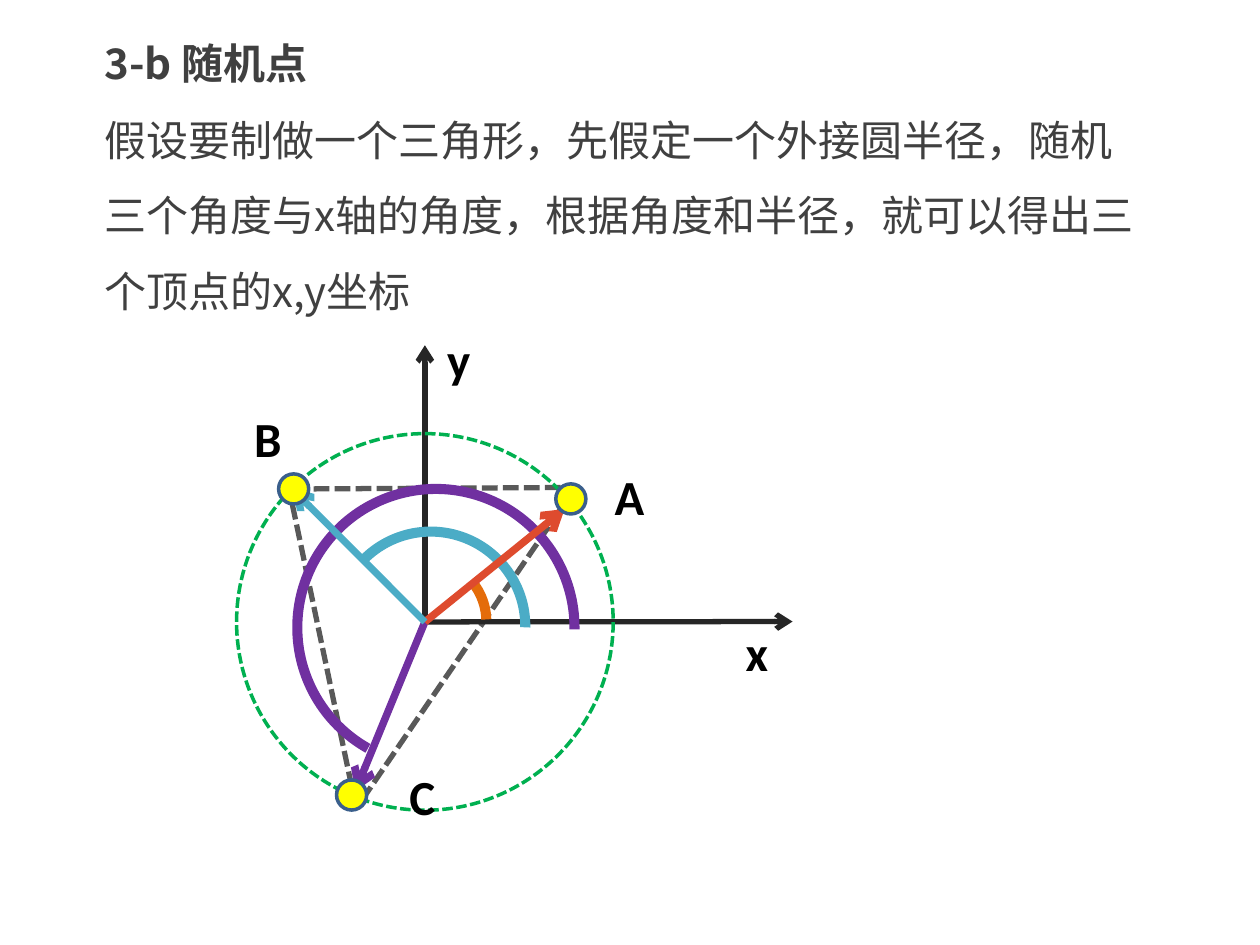
from lxml import etree
from pptx import Presentation
from pptx.dml.color import RGBColor
from pptx.enum import dml, shapes, text
from pptx.oxml.ns import qn
from pptx.util import Pt

INK = RGBColor(0x40, 0x40, 0x40)
BLACK = RGBColor(0, 0, 0)
AXIS = RGBColor(0x26, 0x26, 0x26)
GREY = RGBColor(0x59, 0x59, 0x59)
GREEN = RGBColor(0x00, 0xB0, 0x50)
PURPLE = RGBColor(0x70, 0x30, 0xA0)
ORANGE = RGBColor(0xE4, 0x6C, 0x0A)
CYAN = RGBColor(0x4B, 0xAC, 0xC6)
RED = RGBColor(0xDE, 0x4B, 0x2E)
YELLOW = RGBColor(0xFF, 0xFF, 0x00)
RIM = RGBColor(0x3A, 0x5F, 0x8C)

HEADING = "3-b 随机点"
EXPLANATION = ("假设要制做一个三角形，先假定一个外接圆半径，随机三个角度与x轴的角度，"
               "根据角度和半径，就可以得出三个顶点的x,y坐标")
CJK = "Noto Sans CJK SC"

ORIGIN = (242.8, 355.4)
RADIUS = 107.6
DOT_RADIUS = 8.6
VERTICES = [(326.2, 285.1), (167.8, 279.4), (200.9, 454.3)]

SIDES = [((320.4, 278.6), (175.7, 279.4)),
         ((167, 288), (200.2, 445.7)),
         ((320.4, 290.9), (208.8, 454.3))]
AXES = [(452.9, 355.2), (242.8, 197.3)]
ARCS = [((242.6, 355), 35.3, 320.97, 358.34, ORANGE),
        ((246.2, 357.8), 54, 222.94, 0.75, CYAN),
        ((249.1, 358.6), 79.2, 119.36, 0.75, PURPLE)]
RADII = [((203, 452.2), PURPLE, 4.25), ((322.6, 290.9), RED, 4.25),
         ((167, 279.4), CYAN, 4)]
LETTERS = [("A", 344.2, 262.8), ("y", 248.4, 185), ("x", 419, 352.1),
           ("B", 138.2, 229.7), ("C", 226.8, 434.2)]

deck = Presentation()
deck.slide_width, deck.slide_height = Pt(720), Pt(540)
slide = deck.slides.add_slide(deck.slide_layouts[1])
diagram = slide.shapes.add_group_shape().shapes


def write(holder, words, box, font, size, color, bold):
    holder.left, holder.top, holder.width, holder.height = map(Pt, box)
    frame = holder.text_frame
    frame.text = words
    frame.word_wrap = True
    frame.auto_size = text.MSO_AUTO_SIZE.NONE
    frame.vertical_anchor = text.MSO_ANCHOR.TOP
    paragraph = frame.paragraphs[0]
    paragraph.alignment = text.PP_ALIGN.LEFT
    run = paragraph.runs[0]
    run.font.name, run.font.size, run.font.bold = font, Pt(size), bold
    run.font.color.rgb = color
    etree.SubElement(run.font._element, qn("a:ea")).set("typeface", font)
    return paragraph


def stroke(line, color, width, dashed=False):
    line.color.rgb = color
    line.width = Pt(width)
    if dashed:
        line.dash_style = dml.MSO_LINE.SQUARE_DOT


def connect(start, end, color, width, dashed=False, arrow=False):
    connector = diagram.add_connector(
        shapes.MSO_CONNECTOR.STRAIGHT, *map(Pt, start + end))
    stroke(connector.line, color, width, dashed)
    if arrow:
        tail = etree.SubElement(connector.line._get_or_add_ln(), qn("a:tailEnd"))
        tail.set("type", "arrow")
    etree.SubElement(connector._element.spPr, qn("a:effectLst"))


def round_shape(preset, center, radius, color, width, fill=None, dashed=False):
    x, y = center
    shape = diagram.add_shape(
        preset, Pt(x - radius), Pt(y - radius), Pt(2 * radius), Pt(2 * radius))
    shape.shadow.inherit = False
    if fill is None:
        shape.fill.background()
    else:
        shape.fill.solid()
        shape.fill.fore_color.rgb = fill
    stroke(shape.line, color, width, dashed)
    return shape


heading = write(slide.shapes.title, HEADING, (52.6, 3.6, 612, 50.8), CJK, 24, INK, True)
explanation = write(slide.placeholders[1], EXPLANATION, (52.6, 47.2, 612, 138), CJK, 24, INK, False)
for paragraph in (heading, explanation):
    paragraph.line_spacing = 1.5
    paragraph.space_before = Pt(0)
properties = explanation._p.get_or_add_pPr()
properties.set("marL", "0")
properties.set("indent", "0")
etree.SubElement(properties, qn("a:buNone"))

for start, end in SIDES:
    connect(start, end, GREY, 3, dashed=True)
for tip in AXES:
    connect(ORIGIN, tip, AXIS, 3, arrow=True)
round_shape(shapes.MSO_SHAPE.OVAL, ORIGIN, RADIUS, GREEN, 2, dashed=True)
for center, radius, start, end, color in ARCS:
    arc = round_shape(shapes.MSO_SHAPE.ARC, center, radius, color, 5.75)
    arc.adjustments[0] = start * 0.6
    arc.adjustments[1] = end * 0.6
for tip, color, width in RADII:
    connect(ORIGIN, tip, color, width, arrow=True)
for vertex in VERTICES:
    round_shape(shapes.MSO_SHAPE.OVAL, vertex, DOT_RADIUS, RIM, 2, YELLOW)

for letter, left, top in LETTERS:
    label = slide.shapes.add_textbox(0, 0, 0, 0)
    write(label, letter, (left, top, 31.7, 41), "Calibri", 28, BLACK, True)

deck.save("out.pptx")
